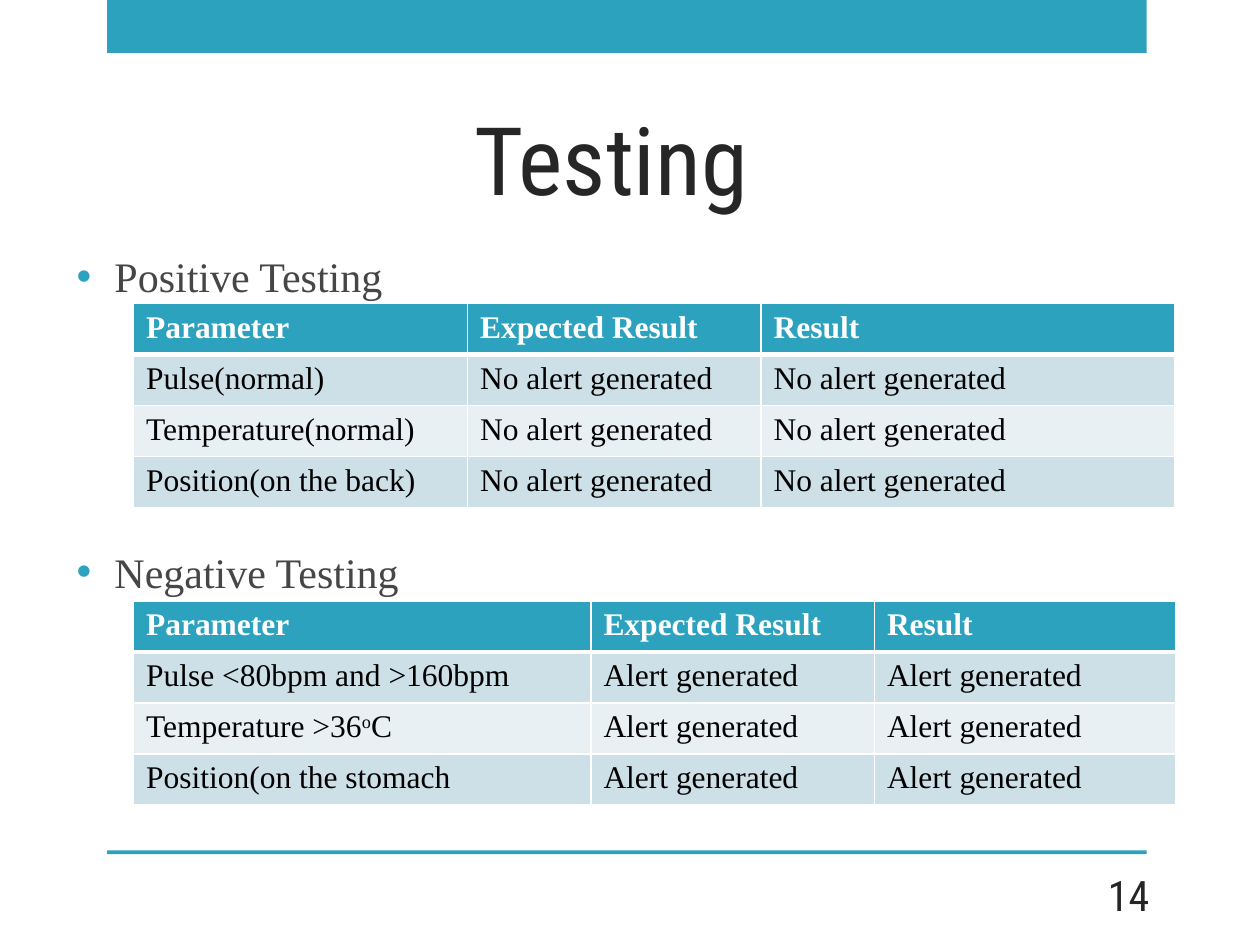
from dataclasses import dataclass

from lxml import etree
from pptx import Presentation
from pptx import util as u
from pptx.dml.color import RGBColor
from pptx.enum import shapes, text
from pptx.oxml.ns import qn

COLORS = {
    "accent": "2DA2BF",
    "band_dark": "CDE0E8",
    "band_light": "E8F0F4",
    "title": "262626",
    "body": "464646",
    "black": "000000",
    "white": "FFFFFF",
}
HEAD_FONT = "Roboto Condensed"
BODY_FONT = "Times New Roman"
HEADER = ("Parameter", "Expected Result", "Result")
RAISED = "|"


@dataclass
class Bar:
    top: float
    height: float


@dataclass
class Label:
    text: str
    box: tuple[float, float, float, float]
    size: int
    align: text.PP_ALIGN
    anchor: text.MSO_ANCHOR


@dataclass
class ResultTable:
    top: float
    widths: tuple[float, ...]
    parameters: tuple[str, ...]
    outcome: str


BARS = (Bar(0, 0.42), Bar(6.75, 0.03))
LABELS = (
    Label("Testing", (1.14, 0, 7.42, 1.75), 54,
          text.PP_ALIGN.CENTER, text.MSO_ANCHOR.BOTTOM),
    Label("14", (8.39, 6.9, 0.83, 0.4), 24,
          text.PP_ALIGN.RIGHT, text.MSO_ANCHOR.MIDDLE),
)
TABLES = (
    ResultTable(2.41, (2.65, 2.33, 3.28),
                ("Pulse(normal)", "Temperature(normal)", "Position(on the back)"),
                "No alert generated"),
    ResultTable(4.77, (3.63, 2.25, 2.39),
                ("Pulse <80bpm and >160bpm", "Temperature >36|o|C", "Position(on the stomach"),
                "Alert generated"),
)


def rgb(name: str) -> RGBColor:
    """Return a named colour."""
    return RGBColor.from_string(COLORS[name])


def style(p, font: str, size: int, color: str, bold: bool = False) -> None:
    """Format every run of a paragraph."""
    for r in p.runs:
        r.font.name, r.font.size, r.font.bold = font, u.Pt(size), bold
        r.font.color.rgb = rgb(color)


def add_bar(slide, bar: Bar) -> None:
    """Draw a horizontal accent bar."""
    sp = slide.shapes.add_shape(
        shapes.MSO_SHAPE.RECTANGLE, u.Inches(0.85), u.Inches(bar.top),
        u.Inches(8.25), u.Inches(bar.height))
    sp.shadow.inherit = False
    sp.fill.solid()
    sp.fill.fore_color.rgb = rgb("accent")
    sp.line.fill.background()


def add_label(slide, label: Label) -> None:
    """Add a single line of heading text."""
    tf = slide.shapes.add_textbox(*map(u.Inches, label.box)).text_frame
    tf.word_wrap = True
    tf.vertical_anchor = label.anchor
    p = tf.paragraphs[0]
    p.text, p.alignment = label.text, label.align
    style(p, HEAD_FONT, label.size, "title")


def add_bullet(p) -> None:
    """Give a paragraph a hanging accent bullet."""
    pPr = p._p.get_or_add_pPr()
    pPr.set("marL", str(u.Inches(0.3)))
    pPr.set("indent", str(-u.Inches(0.3)))
    color = etree.SubElement(pPr, qn("a:buClr"))
    etree.SubElement(color, qn("a:srgbClr"), val=COLORS["accent"])
    etree.SubElement(pPr, qn("a:buFont"), typeface="Arial")
    etree.SubElement(pPr, qn("a:buChar"), char="•")


def add_headings(slide) -> None:
    """Add the bulleted headings, spaced to leave room for the tables."""
    tf = slide.shapes.add_textbox(*map(u.Inches, (0.51, 0.99, 9.15, 5.15))).text_frame
    tf.word_wrap = True
    tf.margin_top = u.Inches(1)
    tf.text = "Positive Testing\nNegative Testing"
    tf.paragraphs[1].space_before = u.Pt(140)
    for p in tf.paragraphs:
        style(p, BODY_FONT, 24, "body")
        add_bullet(p)


def add_borders(cell, top: int, bottom: int) -> None:
    """Draw white cell borders with the given top and bottom widths."""
    tcPr = cell._tc.get_or_add_tcPr()
    for side, width in {"L": 1, "R": 1, "T": top, "B": bottom}.items():
        ln = etree.SubElement(tcPr, qn(f"a:ln{side}"), w=str(u.Pt(width)))
        fill = etree.SubElement(ln, qn("a:solidFill"))
        etree.SubElement(fill, qn("a:srgbClr"), val=COLORS["white"])


def fill_cell(cell, content: str, row: int) -> None:
    """Write and format one cell, raising the text between marks."""
    p = cell.text_frame.paragraphs[0]
    for i, part in enumerate(content.split(RAISED)):
        r = p.add_run()
        r.text = part
        if i % 2:
            r._r.get_or_add_rPr().set("baseline", "30000")
    header = row == 0
    style(p, BODY_FONT, 18, "white" if header else "black", header)
    add_borders(cell, 3 if row == 1 else 1, 3 if header else 1)
    cell.fill.solid()
    band = "band_dark" if row % 2 else "band_light"
    cell.fill.fore_color.rgb = rgb("accent" if header else band)


def add_results(slide, results: ResultTable) -> None:
    """Add a table of test parameters and outcomes."""
    rows = [HEADER] + [(name, results.outcome, results.outcome)
                       for name in results.parameters]
    table = slide.shapes.add_table(
        len(rows), len(HEADER), u.Inches(1.06), u.Inches(results.top),
        u.Inches(sum(results.widths)), u.Inches(1.62)).table
    for column, width in zip(table.columns, results.widths):
        column.width = u.Inches(width)
    for i, row in enumerate(rows):
        for j, content in enumerate(row):
            fill_cell(table.cell(i, j), content, i)


def main() -> None:
    """Build and save the testing slide."""
    prs = Presentation()
    prs.slide_width, prs.slide_height = u.Inches(10), u.Inches(7.5)
    slide = prs.slides.add_slide(prs.slide_layouts[6])
    for bar in BARS:
        add_bar(slide, bar)
    for results in TABLES:
        add_results(slide, results)
    add_headings(slide)
    for label in LABELS:
        add_label(slide, label)
    prs.save("out.pptx")


if __name__ == "__main__":
    main()
